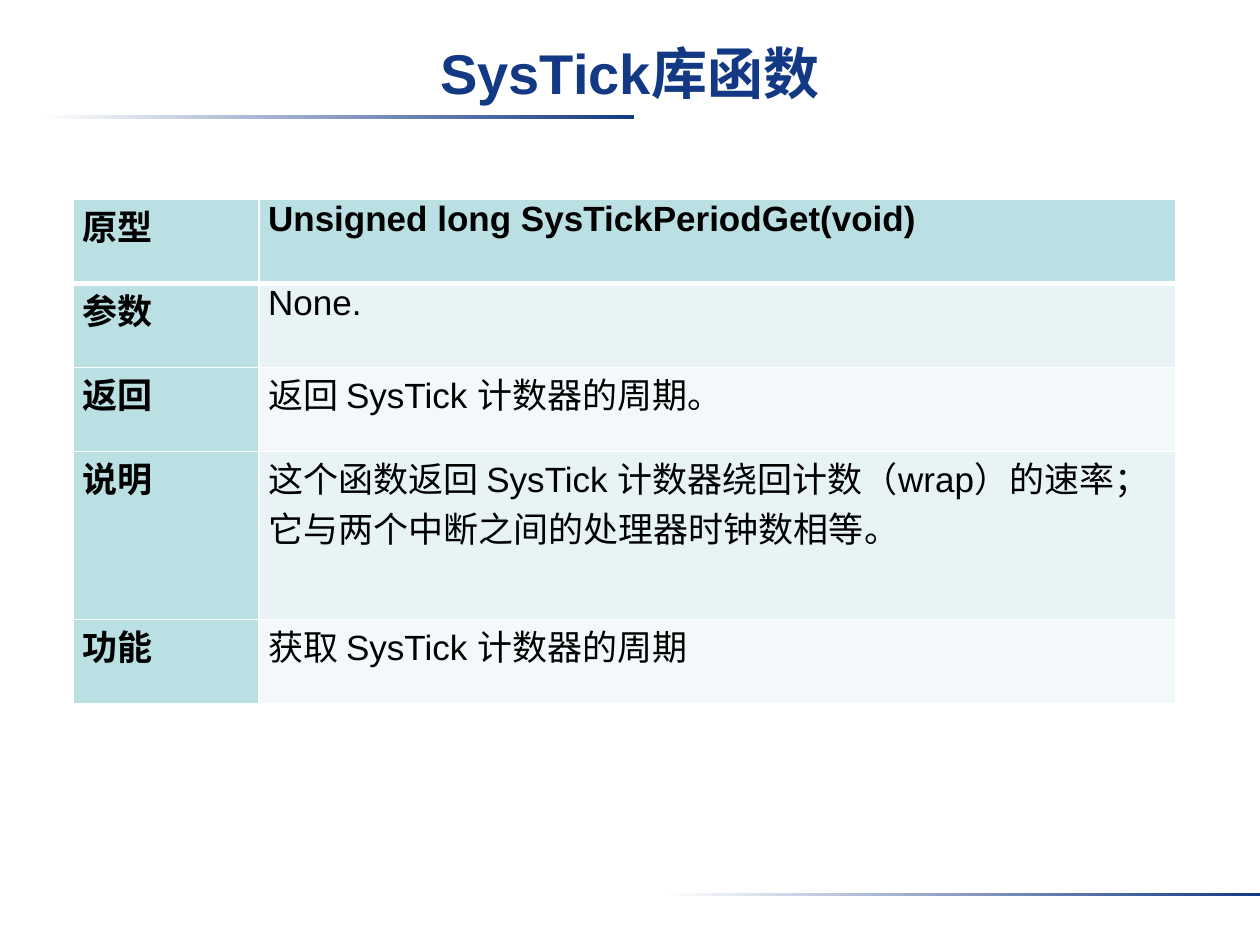
import pptx
import pptx.util
import pptx.dml.color
import pptx.enum.shapes
import pptx.enum.text
import pptx.oxml
import pptx.oxml.ns
from pptx.util import Pt

NAVY = "133984"
WHITE = "FFFFFF"
TEAL = "BBE0E3"
BANDS = ["E7F3F4", "F3F9FA"]
ALIGN = pptx.enum.text.PP_ALIGN
ANCHOR = pptx.enum.text.MSO_ANCHOR

ROWS = [
    ("原型", "Unsigned long SysTickPeriodGet(void)", 48),
    ("参数", "None.", 48),
    ("返回", "返回 SysTick 计数器的周期。", 48),
    ("说明", "这个函数返回 SysTick 计数器绕回计数（wrap）的速率；"
             "它与两个中断之间的处理器时钟数相等。", 96),
    ("功能", "获取 SysTick 计数器的周期", 48),
]


def color(value):
    return pptx.dml.color.RGBColor.from_string(value)


def write(frame, text, size=20, bold=False, ink="000000", align=ALIGN.LEFT):
    para = frame.paragraphs[0]
    para.alignment = align
    span = para.add_run()
    span.text = text
    span.font.name = "Arial"
    span.font.size = Pt(size)
    span.font.bold = bold
    span.font.color.rgb = color(ink)


def add_rule(page, left, top, width, height):
    rule = page.shapes.add_shape(
        pptx.enum.shapes.MSO_SHAPE.RECTANGLE,
        Pt(left), Pt(top), Pt(width), Pt(height))
    rule.shadow.inherit = False
    rule.line.fill.background()
    rule.fill.gradient()
    rule.fill.gradient_angle = 0
    for stop, shade in zip(rule.fill.gradient_stops, (WHITE, NAVY)):
        stop.color.rgb = color(shade)


def add_title(page, left, top, width, height):
    box = page.shapes.add_textbox(Pt(left), Pt(top), Pt(width), Pt(height))
    frame = box.text_frame
    frame.word_wrap = True
    frame.vertical_anchor = ANCHOR.MIDDLE
    write(frame, "SysTick库函数", size=32, bold=True, ink=NAVY,
          align=ALIGN.CENTER)


def set_borders(cell, **widths):
    properties = cell._tc.get_or_add_tcPr()
    for index, (side, width) in enumerate(widths.items()):
        properties.insert(index, pptx.oxml.parse_xml(
            f'<a:ln{side} {pptx.oxml.ns.nsdecls("a")} w="{Pt(width)}">'
            f'<a:solidFill><a:srgbClr val="{WHITE}"/></a:solidFill>'
            f'</a:ln{side}>'))


def fill_cell(cell, text, fill, bold, align, top, bottom):
    cell.margin_left = cell.margin_right = Pt(5.2)
    cell.margin_top = cell.margin_bottom = 0
    cell.fill.solid()
    cell.fill.fore_color.rgb = color(fill)
    set_borders(cell, L=1, R=1, T=top, B=bottom)
    write(cell.text_frame, text, bold=bold, align=align)


def add_function_table(page, left, top, width, height):
    table = page.shapes.add_table(
        len(ROWS), 2, Pt(left), Pt(top), Pt(width), Pt(height)).table
    label_width = 106
    table.columns[0].width = Pt(label_width)
    table.columns[1].width = Pt(width - label_width)
    for index, (label, detail, row_height) in enumerate(ROWS):
        table.rows[index].height = Pt(row_height)
        header = index == 0
        edges = {"top": 3 if index == 1 else 1, "bottom": 3 if header else 1}
        fill_cell(table.cell(index, 0), label, TEAL, True, ALIGN.JUSTIFY,
                  **edges)
        # Header row is teal and bold, the rest alternate
        fill_cell(table.cell(index, 1), detail,
                  TEAL if header else BANDS[(index - 1) % 2], header,
                  ALIGN.LEFT, **edges)


def main():
    deck = pptx.Presentation()
    deck.slide_width, deck.slide_height = Pt(720), Pt(540)
    page = deck.slides.add_slide(deck.slide_layouts[6])
    # Rules under the title and at the foot
    add_rule(page, 22.5, 65.6, 340, 2.4)
    add_rule(page, 380, 510, 340, 2)
    # Title and function description
    add_title(page, 0, 14.4, 720, 54)
    add_function_table(page, 42, 114, 630, 288)
    deck.save("out.pptx")


if __name__ == "__main__":
    main()
